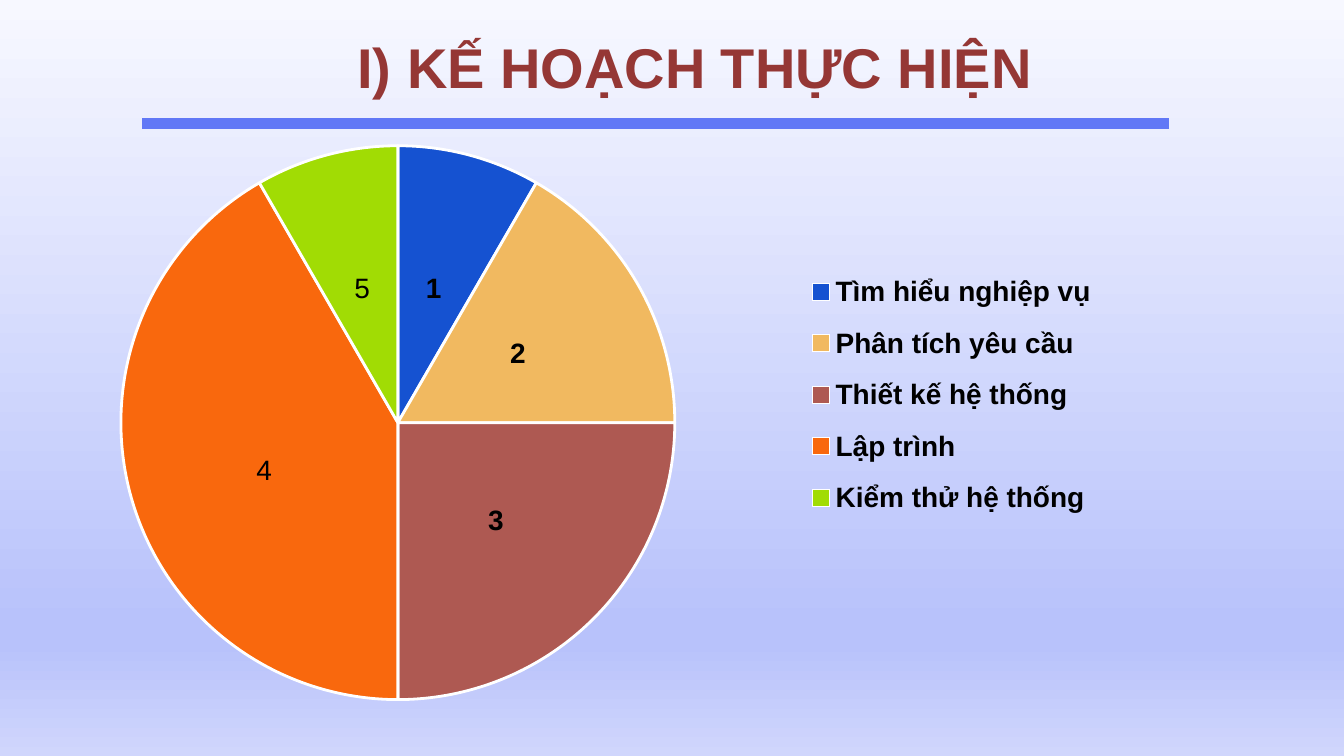
from copy import deepcopy

from lxml import etree
from pptx import Presentation
from pptx.chart.data import CategoryChartData
from pptx.dml.color import RGBColor
from pptx.enum.chart import XL_CHART_TYPE as ChartType
from pptx.enum.chart import XL_LABEL_POSITION as LabelPos
from pptx.enum.chart import XL_LEGEND_POSITION as LegendPos
from pptx.enum.shapes import MSO_CONNECTOR as Connector
from pptx.enum.text import MSO_ANCHOR as Anchor
from pptx.enum.text import MSO_AUTO_SIZE as AutoSize
from pptx.enum.text import PP_ALIGN as Align
from pptx.oxml.ns import qn
from pptx.util import Inches, Pt


def rgb(color):
    return RGBColor.from_string(color)


def write(frame, text, size=15, color="000000", bold=False, align=Align.CENTER):
    paragraph = frame.paragraphs[0]
    paragraph.alignment = align
    run = paragraph.add_run()
    run.text = text
    run.font.name = "Arial"
    run.font.size = Pt(size)
    run.font.bold = bold
    run.font.color.rgb = rgb(color)


prs = Presentation()
prs.slide_width, prs.slide_height = Inches(10), Inches(10 * 9 / 16)
slide = prs.slides.add_slide(prs.slide_layouts[5])

backdrop = slide.background.fill
backdrop.gradient()
backdrop.gradient_angle = 270
stop_list = slide.element.find(".//" + qn("a:gsLst"))
for _ in range(2):
    stop_list.append(deepcopy(stop_list[0]))
shades = [(0, "F7F8FF"), (0.83, "B8C2FB"), (0.85, "B8C2FB"), (1, "D0D6FC")]
for stop, (position, color) in zip(backdrop.gradient_stops, shades):
    stop.position = position
    stop.color.rgb = rgb(color)

title = slide.shapes.title
title.left, title.top = Inches(2.24), Inches(0.14)
title.width, title.height = Inches(5.86), Inches(0.95)
heading = title.text_frame
heading.word_wrap = True
heading.auto_size = AutoSize.NONE
heading.vertical_anchor = Anchor.TOP
heading.margin_left = heading.margin_right = Inches(0.1)
heading.margin_top = heading.margin_bottom = Inches(0.1)
write(heading, "I) KẾ HOẠCH THỰC HIỆN", size=30, color="953735", bold=True)

rule = slide.shapes.add_connector(
    Connector.STRAIGHT, Inches(8.7), Inches(0.92), Inches(1.06), Inches(0.92))
rule.line.color.rgb = rgb("6178F6")
rule.line.width = Pt(6)
etree.SubElement(rule.element.spPr, qn("a:effectLst"))

phases = [
    ("Tìm hiểu nghiệp vụ", 1, "1552D1"),
    ("Phân tích yêu cầu", 2, "F1B960"),
    ("Thiết kế hệ thống", 3, "AE5952"),
    ("Lập trình", 5, "F9680D"),
    ("Kiểm thử hệ thống", 1, "A1DC04"),
]
plan = CategoryChartData()
plan.categories = [name for name, _, _ in phases]
plan.add_series("Series 1", [share for _, share, _ in phases])
chart = slide.shapes.add_chart(
    ChartType.PIE, Inches(0.35), Inches(1.03), Inches(9.16), Inches(4.6), plan).chart
chart.has_title = False
chart.font.name = "Arial"
chart.font.size = Pt(10)
chart.font.color.rgb = rgb("000000")

chart.has_legend = True
legend = chart.legend
legend.position = LegendPos.BOTTOM
legend.include_in_layout = False

pie = chart.plots[0]
pie.vary_by_categories = True
series = pie.series[0]
labels = series.data_labels
labels.show_value = True
labels.position = LabelPos.CENTER
for font in (legend.font, labels.font):
    font.name = "Arial"
    font.size = Pt(15)
    font.bold = True
    font.color.rgb = rgb("000000")

for index, (_, _, color) in enumerate(phases):
    slice_format = series.points[index].format
    slice_format.fill.solid()
    slice_format.fill.fore_color.rgb = rgb(color)
    slice_format.line.color.rgb = rgb("FFFFFF")
    slice_format.line.width = Pt(1.5)
for index in (3, 4):
    step_label = series.points[index].data_label
    write(step_label.text_frame, str(index + 1))
    step_label.position = LabelPos.CENTER

edges = [("xMode", "edge"), ("yMode", "edge")]
placements = [
    ("c:plotArea", 0, [("layoutTarget", "inner")] + edges, (0.06, 0.01, 0.45, 0.9)),
    ("c:legend", 1, edges, (0.6, 0.19, 0.27, 0.45)),
    ("c:dLbl", 1, [], (0, 0.02)),
]
for part, slot, modes, box in placements:
    area = chart.element.find(".//" + qn(part))
    for old in area.findall(qn("c:layout")):
        area.remove(old)
    layout = etree.Element(qn("c:layout"))
    manual = etree.SubElement(layout, qn("c:manualLayout"))
    for tag, value in modes + list(zip("xywh", box)):
        etree.SubElement(manual, qn("c:" + tag)).set("val", str(value))
    area.insert(slot, layout)

prs.save("out.pptx")
